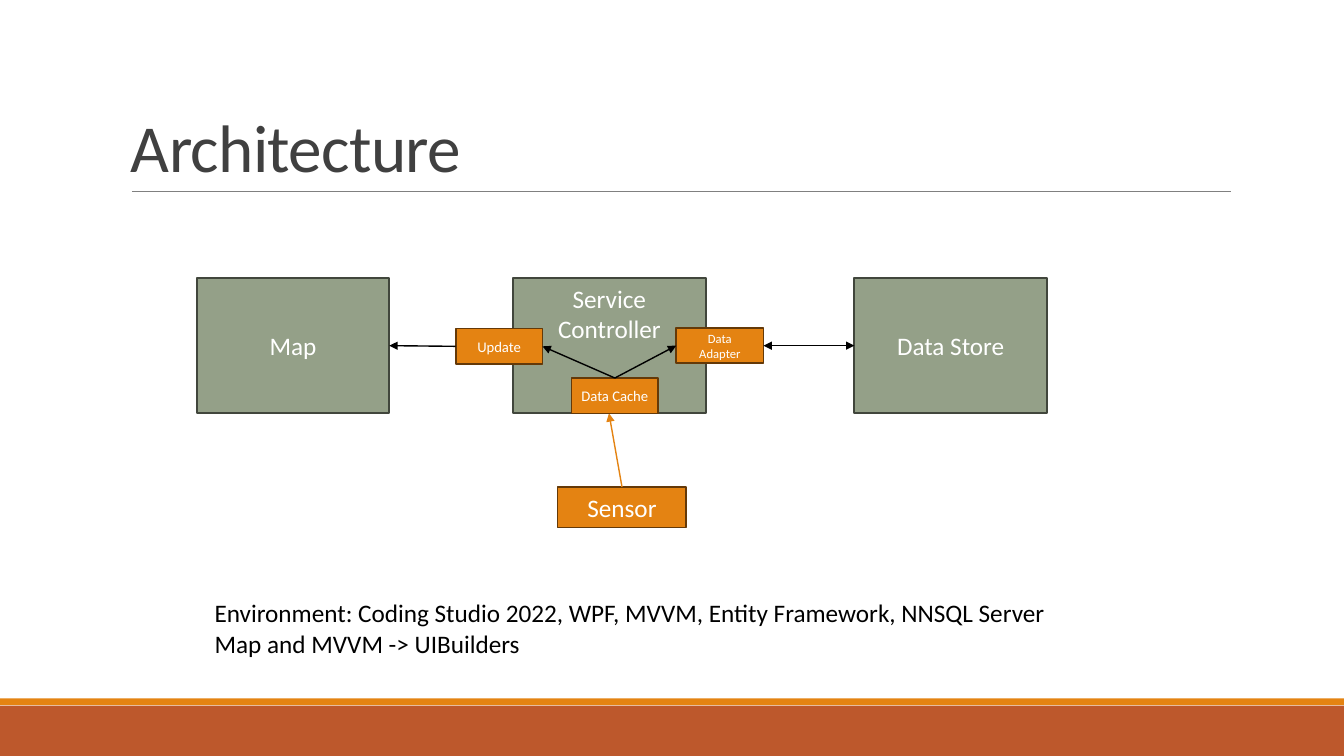
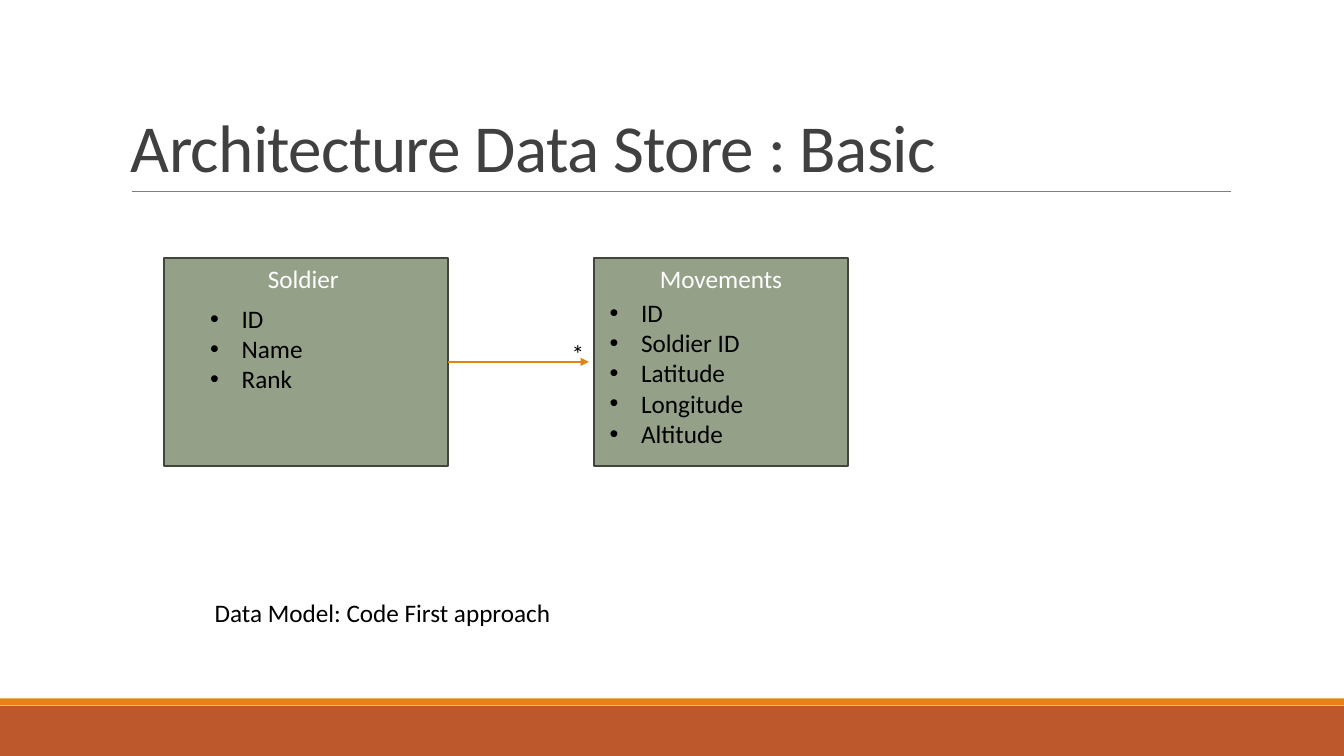
"""Build two architecture slides: the service overview and the data store."""
from lxml.etree import SubElement
from pptx import Presentation
from pptx.dml.color import RGBColor
from pptx.enum.shapes import MSO_CONNECTOR, MSO_SHAPE
from pptx.enum.text import MSO_ANCHOR as ANCHOR, PP_ALIGN as ALIGN
from pptx.oxml.ns import qn
from pptx.util import Pt

WHITE = RGBColor(0xFF, 0xFF, 0xFF)
BLACK = RGBColor(0x00, 0x00, 0x00)
GREY = RGBColor(0x80, 0x80, 0x80)
CHARCOAL = RGBColor(0x40, 0x40, 0x40)
SAGE = RGBColor(0x94, 0xA0, 0x88)
SAGE_EDGE = RGBColor(0x41, 0x46, 0x3C)
ORANGE = RGBColor(0xE4, 0x83, 0x12)
ORANGE_EDGE = RGBColor(0x64, 0x39, 0x08)
RUST = RGBColor(0xBD, 0x58, 0x2C)

FONT = "Calibri"
WIDTH, HEIGHT = 960, 540
TOP, RIGHT, LEFT = 0, 3, 1


def write(sp, lines, size=18, color=BLACK, align=ALIGN.LEFT, anchor=ANCHOR.TOP,
          wrap=True, spacing=None, tracking=None, bullets=False):
    """Fill a shape with one paragraph per line in the given format."""
    tf = sp.text_frame
    tf.word_wrap = wrap
    tf.vertical_anchor = anchor
    for i, line in enumerate(lines):
        p = tf.add_paragraph() if i else tf.paragraphs[0]
        p.alignment = align
        if spacing:
            p.line_spacing = spacing
        r = p.add_run()
        r.text = line
        r.font.name = FONT
        r.font.size = Pt(size)
        r.font.color.rgb = color
        if tracking:
            r.font._element.set("spc", str(int(tracking * 100)))
        if bullets:
            add_bullet(p)


def add_bullet(p):
    """Give a paragraph a round bullet and a hanging indent."""
    pPr = p._p.get_or_add_pPr()
    pPr.set("marL", str(Pt(22.5)))
    pPr.set("indent", str(-Pt(22.5)))
    SubElement(pPr, qn("a:buFont")).set("typeface", "Arial")
    SubElement(pPr, qn("a:buChar")).set("char", "•")


def add_text(s, x, y, w, h, lines, **fmt):
    """Add a text box."""
    sp = s.shapes.add_textbox(Pt(x), Pt(y), Pt(w), Pt(h))
    write(sp, lines, **fmt)
    return sp


def add_rect(s, x, y, w, h, fill, edge=None):
    """Add a flat rectangle, outlined if an edge colour is given."""
    sp = s.shapes.add_shape(MSO_SHAPE.RECTANGLE, Pt(x), Pt(y), Pt(w), Pt(h))
    sp.shadow.inherit = False
    sp.fill.solid()
    sp.fill.fore_color.rgb = fill
    if edge is None:
        sp.line.fill.background()
    else:
        sp.line.color.rgb = edge
        sp.line.width = Pt(1.25)
    return sp


def add_box(s, x, y, w, h, label, fill=SAGE, edge=SAGE_EDGE, size=18,
            anchor=ANCHOR.MIDDLE):
    """Add an outlined box with a centred white label."""
    sp = add_rect(s, x, y, w, h, fill, edge)
    write(sp, [label], size=size, color=WHITE, align=ALIGN.CENTER, anchor=anchor)
    return sp


def add_part(s, x, y, w, h, label, size=10.5):
    """Add an orange component box."""
    return add_box(s, x, y, w, h, label, ORANGE, ORANGE_EDGE, size)


def add_line(s, start, end, color=BLACK, width=1, ends=("tailEnd",)):
    """Draw a line between points or (shape, side) pairs, with arrowheads."""
    joined = [not isinstance(point[0], (int, float)) for point in (start, end)]
    x1, y1 = (0, 0) if joined[0] else start
    x2, y2 = (0, 0) if joined[1] else end
    c = s.shapes.add_connector(MSO_CONNECTOR.STRAIGHT, Pt(x1), Pt(y1), Pt(x2), Pt(y2))
    if joined[0]:
        c.begin_connect(*start)
    if joined[1]:
        c.end_connect(*end)
    c.line.color.rgb = color
    c.line.width = Pt(width)
    spPr = c._element.spPr
    for end_tag in ends:
        SubElement(spPr.find(qn("a:ln")), qn(f"a:{end_tag}")).set("type", "triangle")
    SubElement(spPr, qn("a:effectLst"))
    return c


def add_slide(prs, title, note):
    """Add a slide with the shared bands, title, title rule and bottom note."""
    s = prs.slides.add_slide(prs.slide_layouts[6])
    add_rect(s, 0, 504, WIDTH, 36, RUST)
    add_rect(s, 0, 498.8, WIDTH, 5, ORANGE)
    add_line(s, (94.3, 136.8), (879, 136.8), GREY, 0.5, ends=())
    add_text(s, 86.4, 22.6, 792, 114.2, [title], size=48, color=CHARCOAL,
             anchor=ANCHOR.BOTTOM, spacing=0.85, tracking=-0.5)
    add_text(s, 146.2, 423.4, 648.7, 29 + 22 * (len(note) - 1), note)
    return s


def build_overview(prs):
    """Build the overview of the services and their connections."""
    s = add_slide(prs, "Architecture", [
        "Environment: Coding Studio 2022, WPF, MVVM, Entity Framework, NNSQL Server",
        "Map and MVVM -> UIBuilders"])
    y, w, h = 198.6, 137.6, 96.6
    map_box = add_box(s, 140.5, y, w, h, "Map")
    add_box(s, 366.5, y, w, h, "Service Controller", anchor=ANCHOR.TOP)
    store = add_box(s, 610.3, y, w, h, "Data Store")
    sensor = add_part(s, 398.3, 347.8, 92, 29, "Sensor", size=18)
    add_line(s, (sensor, TOP), (435, 295.2), ORANGE)
    cache = add_part(s, 408.2, 270, 62, 25.4, "Data Cache")
    adapter = add_part(s, 483, 234.2, 62.4, 25.4, "Data Adapter", size=9)
    update = add_part(s, 325.5, 234.7, 62, 25.4, "Update")
    add_line(s, (cache, TOP), (update, RIGHT))
    add_line(s, (cache, TOP), (adapter, LEFT))
    add_line(s, (update, LEFT), (map_box, RIGHT))
    add_line(s, (adapter, RIGHT), (store, LEFT), ends=("headEnd", "tailEnd"))


def build_data_store(prs):
    """Build the basic data model with its two entities."""
    s = add_slide(prs, "Architecture Data Store : Basic",
                  ["Data Model: Code First approach"])
    y, h = 184.3, 148.4
    soldier = add_box(s, 117.2, y, 203, h, "Soldier ", anchor=ANCHOR.TOP)
    add_box(s, 424.2, y, 181.6, h, "Movements", anchor=ANCHOR.TOP)
    add_text(s, 143, 213.1, 131.8, 72.7, ["ID", "Name", "Rank"], bullets=True)
    add_text(s, 428.4, 208.8, 131.8, 116.6,
             ["ID", "Soldier ID", "Latitude", "Longitude", "Altitude"], bullets=True)
    add_line(s, (soldier, RIGHT), (420.7, 258.5), ORANGE)
    add_text(s, 401.3, 238.3, 23.8, 29, ["*"], wrap=False)


def main():
    """Build and save the presentation."""
    prs = Presentation()
    prs.slide_width, prs.slide_height = Pt(WIDTH), Pt(HEIGHT)
    build_overview(prs)
    build_data_store(prs)
    prs.save("out.pptx")


if __name__ == "__main__":
    main()
